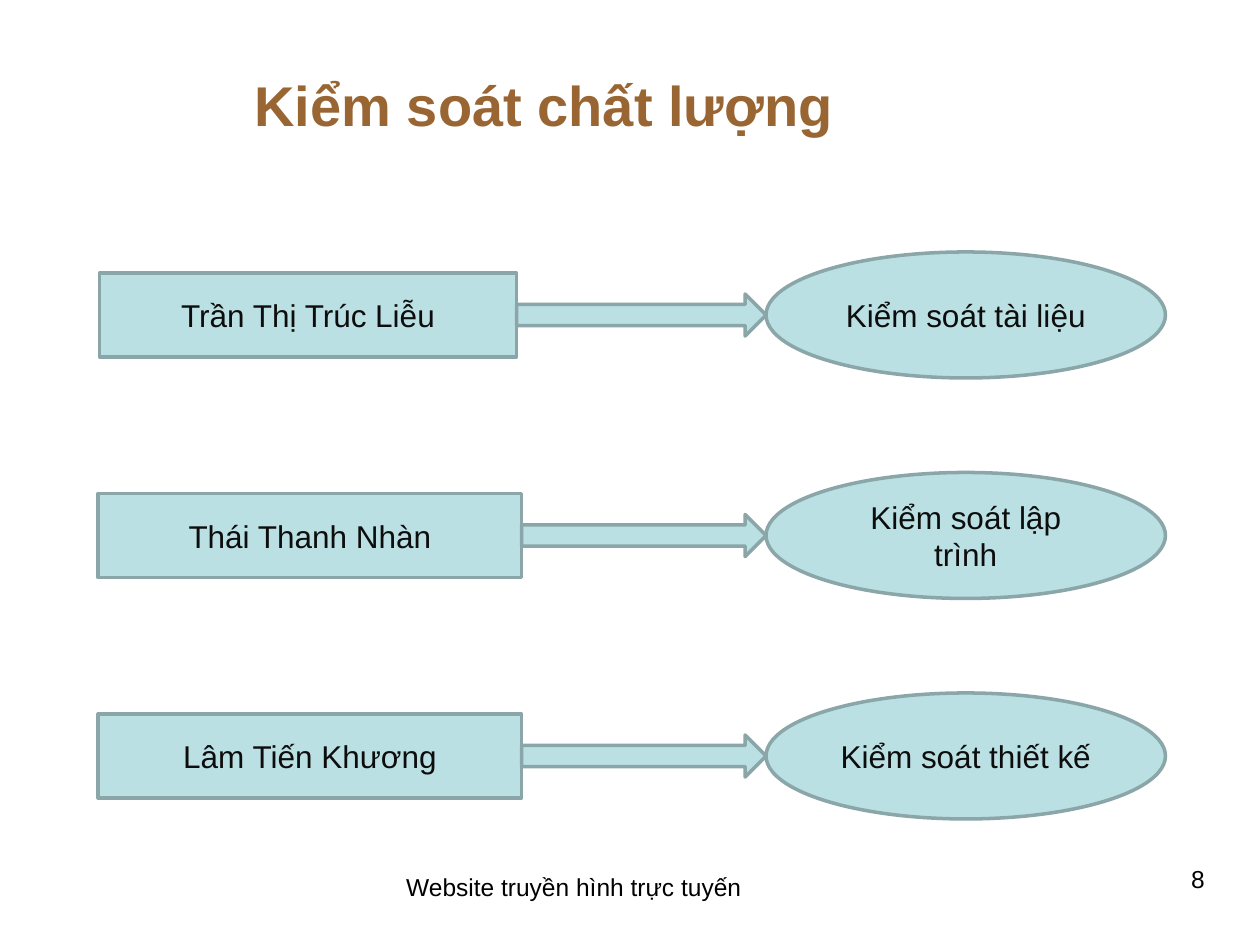
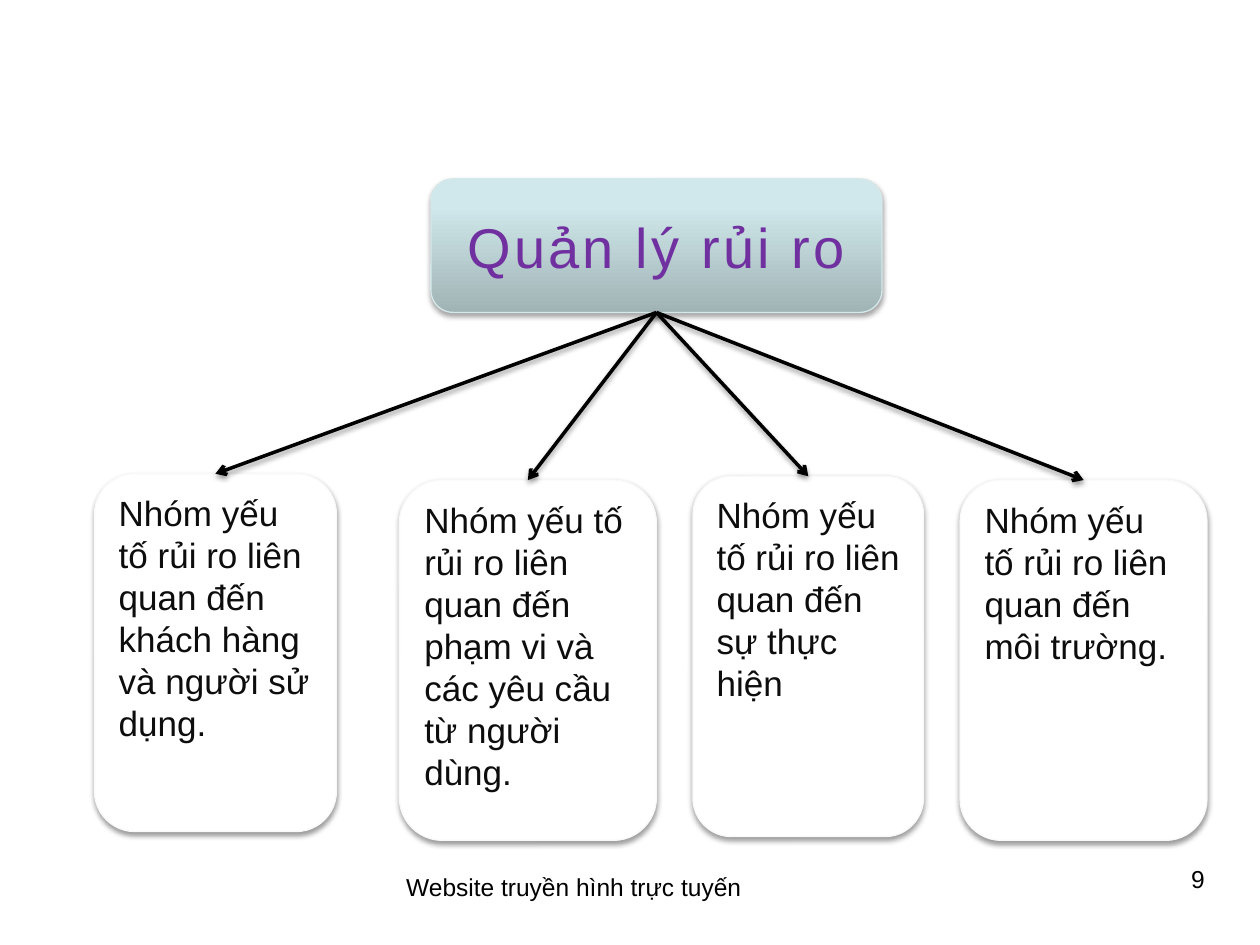
from pptx import Presentation
from pptx.dml.color import RGBColor
from pptx.enum.shapes import MSO_CONNECTOR, MSO_SHAPE
from pptx.enum.text import MSO_ANCHOR, PP_ALIGN
from pptx.oxml import parse_xml
from pptx.oxml.ns import nsdecls
from pptx.util import Inches, Pt

FONT = "Arial"
BLACK = RGBColor(0x00, 0x00, 0x00)
WHITE = RGBColor(0xFF, 0xFF, 0xFF)
INK = RGBColor(0x0D, 0x0D, 0x0D)
BROWN = RGBColor(0x99, 0x66, 0x33)
PURPLE = RGBColor(0x70, 0x30, 0xA0)
AQUA = RGBColor(0xBB, 0xE0, 0xE3)
AQUA_EDGE = RGBColor(0x8A, 0xA6, 0xA8)
ROOT_EDGE = RGBColor(0xD5, 0xE8, 0xEA)
CARD_EDGE = RGBColor(0xF9, 0xF9, 0xF9)
ROOT_STOPS = [(0, RGBColor(0xA0, 0xB3, 0xB5)),
              (80, RGBColor(0xD0, 0xE8, 0xEB)),
              (100, RGBColor(0xD1, 0xEA, 0xEC))]


# Shared helpers
def write(shape, text, size=18, color=INK, bold=False, spacing=None,
          align=PP_ALIGN.CENTER, anchor=MSO_ANCHOR.MIDDLE):
    tf = shape.text_frame
    tf.word_wrap = True
    tf.vertical_anchor = anchor
    p = tf.paragraphs[0]
    p.alignment = align
    r = p.add_run()
    r.text = text
    r.font.name = FONT
    r.font.size = Pt(size)
    r.font.bold = bold
    r.font.color.rgb = color
    if spacing:
        r._r.get_or_add_rPr().set("spc", str(round(spacing * 100)))


def add_shape(s, kind, box, fill, edge, weight):
    shape = s.shapes.add_shape(kind, *map(Inches, box))
    shape.shadow.inherit = False
    shape.fill.solid()
    shape.fill.fore_color.rgb = fill
    shape.line.color.rgb = edge
    shape.line.width = Pt(weight)
    return shape


def add_shadow(shape, alpha=38, distance=1.6):
    """Replace the effects of a shape or connector by a soft shadow below it."""
    sp_pr = shape._element.spPr
    for old in sp_pr.findall("{*}effectLst"):
        sp_pr.remove(old)
    sp_pr.append(parse_xml(
        f'<a:effectLst {nsdecls("a")}><a:outerShdw blurRad="{Pt(3.1)}" '
        f'dist="{Pt(distance)}" dir="5400000" rotWithShape="0">'
        f'<a:srgbClr val="{BLACK}"><a:alpha val="{alpha * 1000}"/></a:srgbClr>'
        '</a:outerShdw></a:effectLst>'))


def fill_gradient(shape, stops):
    """Fill a shape from bottom to top."""
    sp_pr = shape._element.spPr
    solid = sp_pr.find("{*}solidFill")
    gs = "".join(f'<a:gs pos="{pos * 1000}"><a:srgbClr val="{color}"/></a:gs>'
                 for pos, color in stops)
    sp_pr.replace(solid, parse_xml(
        f'<a:gradFill {nsdecls("a")} rotWithShape="1"><a:gsLst>{gs}</a:gsLst>'
        '<a:lin ang="16200000" scaled="0"/></a:gradFill>'))


def add_text(s, box, text, **fmt):
    write(s.shapes.add_textbox(*map(Inches, box)), text, **fmt)


def add_title(s, box, text):
    title = s.shapes.title
    title.left, title.top, title.width, title.height = map(Inches, box)
    write(title, text, size=32, color=BROWN, bold=True, align=PP_ALIGN.LEFT)


def add_footer(s, number):
    fmt = dict(size=14, color=BLACK, anchor=MSO_ANCHOR.TOP)
    add_text(s, (2.97, 6.87, 3.17, 0.52), "Website truyền hình trực tuyến", **fmt)
    add_text(s, (7.33, 6.81, 2.33, 0.61), str(number), align=PP_ALIGN.RIGHT, **fmt)


# Quality control: a person, an arrow and a duty
def add_duty_row(s, box, person_width, person, duty):
    left, top, width, height = box
    middle = top + height / 2
    duty_width, person_height, arrow_height = 3.17, height * 2 / 3, height / 3
    duty_left = left + width - duty_width
    person_right = left + person_width
    parts = [
        (MSO_SHAPE.RECTANGLE, left, person_width, person_height, person),
        (MSO_SHAPE.OVAL, duty_left, duty_width, height, duty),
        (MSO_SHAPE.RIGHT_ARROW, person_right, duty_left - person_right,
         arrow_height, None),
    ]
    for kind, x, w, h, text in parts:
        shape = add_shape(s, kind, (x, middle - h / 2, w, h), AQUA, AQUA_EDGE, 2)
        if text:
            write(shape, text)


# Risk management: a root box with arrows to its groups
def add_root(s, box, text):
    root = add_shape(s, MSO_SHAPE.ROUNDED_RECTANGLE, box, AQUA, ROOT_EDGE, 0.75)
    fill_gradient(root, ROOT_STOPS)
    add_shadow(root, alpha=35, distance=1.8)
    write(root, text, size=32, color=PURPLE, spacing=1.8)


def add_card(s, box, text):
    card = add_shape(s, MSO_SHAPE.ROUNDED_RECTANGLE, box, WHITE, CARD_EDGE, 0.75)
    add_shadow(card)
    write(card, text, size=20, align=PP_ALIGN.LEFT, anchor=MSO_ANCHOR.TOP)


def add_arrow(s, start, end):
    line = s.shapes.add_connector(MSO_CONNECTOR.STRAIGHT,
                                  *map(Inches, (*start, *end)))
    line.line.color.rgb = BLACK
    line.line.width = Pt(2)
    line.line._get_or_add_ln().append(
        parse_xml(f'<a:tailEnd {nsdecls("a")} type="arrow"/>'))
    add_shadow(line)


def build_quality(prs):
    s = prs.slides.add_slide(prs.slide_layouts[5])
    add_title(s, (1.92, 0.31, 7.75, 1.03), "Kiểm soát chất lượng")
    rows = [(0.79, 3.31, "Trần Thị Trúc Liễu", "Kiểm soát tài liệu"),
            (0.78, 3.36, "Thái Thanh Nhàn", "Kiểm soát lập trình"),
            (0.78, 3.36, "Lâm Tiến Khương", "Kiểm soát thiết kế")]
    right = 9.25
    for i, (left, person_width, person, duty) in enumerate(rows):
        box = (left, 2 + 1.75 * i, right - left, 1)
        add_duty_row(s, box, person_width, person, duty)
    add_footer(s, 8)


def build_risks(prs):
    s = prs.slides.add_slide(prs.slide_layouts[6])
    root = (3.42, 1.42, 3.58, 1.06)
    add_root(s, root, "Quản lý rủi ro")
    start = (root[0] + root[2] / 2, root[1] + root[3])
    group = "Nhóm yếu tố rủi ro liên quan đến "
    cards = [
        ((0.75, 3.76, 1.92, 2.84), "khách hàng và người sử dụng."),
        ((3.17, 3.81, 2.04, 2.86), "phạm vi và các yêu cầu từ người dùng."),
        ((5.5, 3.78, 1.83, 2.86), "sự thực hiện"),
        ((7.62, 3.81, 1.96, 2.86), "môi trường."),
    ]
    for box, topic in cards:
        left, top, width, _ = box
        add_card(s, box, group + topic)
        add_arrow(s, start, (left + width / 2, top))
    add_footer(s, 9)


prs = Presentation()
prs.slide_width, prs.slide_height = Inches(10), Inches(7.5)
build_quality(prs)
build_risks(prs)
prs.save("out.pptx")
